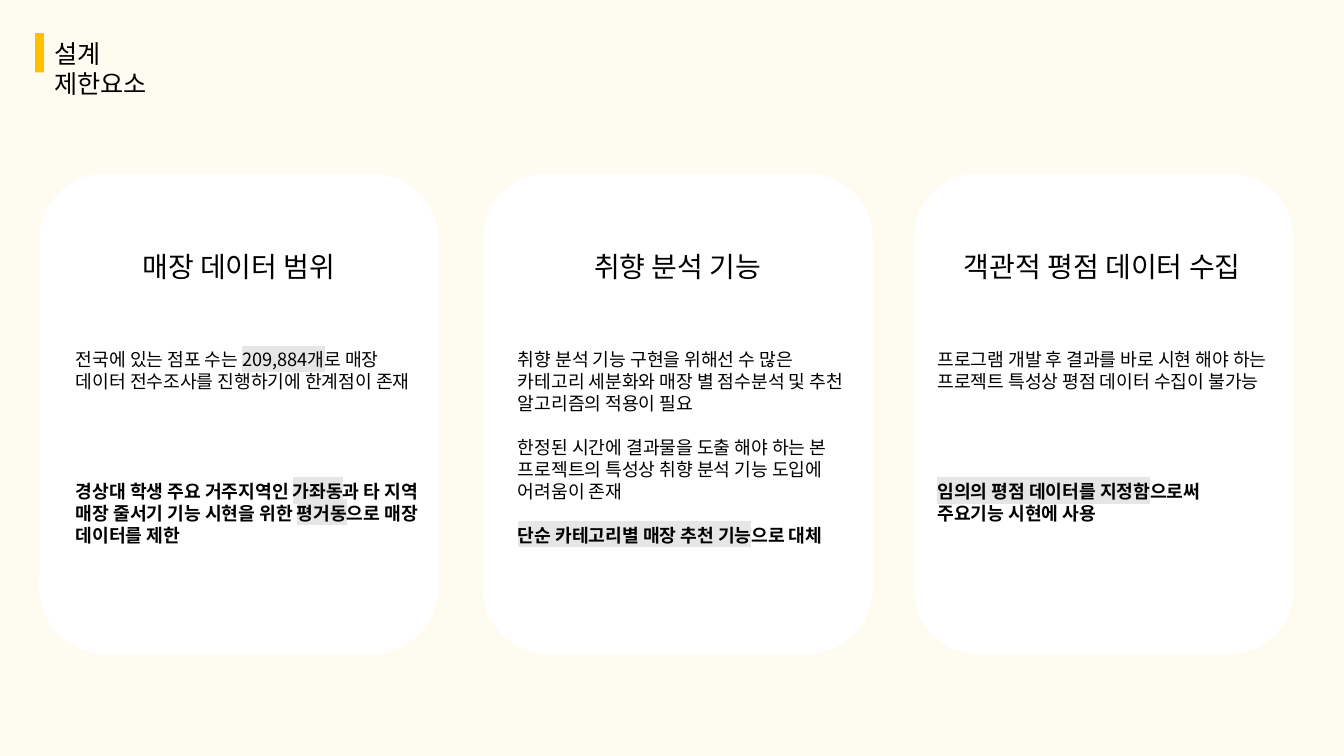
import pptx
import pptx.util
import pptx.dml.color
import pptx.enum.shapes
import pptx.enum.text
import pptx.oxml.ns
import lxml.etree

Pt = pptx.util.Pt
RGBColor = pptx.dml.color.RGBColor
SHAPE = pptx.enum.shapes.MSO_SHAPE
ALIGN = pptx.enum.text.PP_ALIGN
qn = pptx.oxml.ns.qn

FONT = "Noto Sans CJK KR"
CREAM = RGBColor(0xFE, 0xFB, 0xF1)
AMBER = RGBColor(0xFF, 0xC0, 0x00)
WHITE = RGBColor(0xFF, 0xFF, 0xFF)
BLACK = RGBColor(0x00, 0x00, 0x00)
GREY = RGBColor(0xE6, 0xE6, 0xE6)


def add_run(p, text, size, bold=False, highlight=None):
    r = p.add_run()
    r.text = text
    r.font.size = Pt(size)
    r.font.bold = bold
    r.font.color.rgb = BLACK
    rPr = r.font._element
    if highlight:
        mark = lxml.etree.SubElement(rPr, qn("a:highlight"))
        lxml.etree.SubElement(mark, qn("a:srgbClr"), val=str(highlight))
    r.font.name = FONT
    lxml.etree.SubElement(rPr, qn("a:ea"), typeface=FONT)


def add_block(slide, kind, x, y, w, h, color):
    sp = slide.shapes.add_shape(kind, Pt(x), Pt(y), Pt(w), Pt(h))
    sp.shadow.inherit = False
    sp.fill.solid()
    sp.fill.fore_color.rgb = color
    sp.line.fill.background()


def add_text(slide, x, y, w, h):
    sp = slide.shapes.add_textbox(Pt(x), Pt(y), Pt(w), Pt(h))
    sp.text_frame.word_wrap = True
    return sp.text_frame


def add_title(slide, x, y, text):
    add_block(slide, SHAPE.RECTANGLE, x, y, 6.5, 28, AMBER)
    sp = slide.shapes.title
    sp.left, sp.top, sp.width, sp.height = Pt(x + 6.5), Pt(y), Pt(112), Pt(29)
    tf = sp.text_frame
    tf.word_wrap = True
    tf.auto_size = pptx.enum.text.MSO_AUTO_SIZE.NONE
    tf.vertical_anchor = pptx.enum.text.MSO_ANCHOR.TOP
    p = tf.paragraphs[0]
    p.alignment = ALIGN.LEFT
    add_run(p, text, 18)


def add_card(slide, x, y, w, h, heading, heading_w, align, inset, body_w, body_h, gap, body):
    add_block(slide, SHAPE.ROUNDED_RECTANGLE, x, y, w, h, WHITE)
    p = add_text(slide, x + (w - heading_w) / 2, y + 51, heading_w, 32).paragraphs[0]
    p.alignment = align
    add_run(p, heading, 20)
    tf = add_text(slide, x + inset, y + 121.5, body_w, body_h)
    last = len(body) - 1
    for i, parts in enumerate(body):
        p = tf.paragraphs[0] if i == 0 else tf.add_paragraph()
        p.space_before = Pt(gap if i else 0)
        for text, marked in parts:
            add_run(p, text, 13, bold=i == last, highlight=GREY if marked else None)


CARDS = [
    dict(x=28.1, w=285, heading="매장 데이터 범위", heading_w=245.5, align=ALIGN.CENTER,
         inset=19, body_w=265, body_h=167, gap=62.7, body=[
             [("전국에 있는 점포 수는 ", False), ("209,884개", True),
              ("로 매장 데이터 전수조사를 진행하기에 한계점이 존재", False)],
             [("경상대 학생 주요 거주지역인 ", False), ("가좌동", True),
              ("과 타 지역 매장 줄서기 기능 시현을 위한 ", False), ("평거동", True),
              ("으로 매장 데이터를 제한", False)]]),
    dict(x=344.9, w=278.6, heading="취향 분석 기능", heading_w=212.5, align=ALIGN.CENTER,
         inset=18, body_w=259, body_h=149, gap=15.7, body=[
             [("취향 분석 기능 구현을 위해선 수 많은 카테고리 세분화와 매장 별 점수분석 및 추천 "
               "알고리즘의 적용이 필요", False)],
             [("한정된 시간에 결과물을 도출 해야 하는 본 프로젝트의 특성상 취향 분석 기능 도입에 "
               "어려움이 존재", False)],
             [("단순 카테고리별 매장 추천 기능", True), ("으로 대체", False)]]),
    dict(x=653, w=270.7, heading="객관적 평점 데이터 수집", heading_w=214, align=ALIGN.LEFT,
         inset=9.5, body_w=251, body_h=133, gap=62.7, body=[
             [("프로그램 개발 후 결과를 바로 시현 해야 하는 프로젝트 특성상 평점 데이터 수집이 "
               "불가능", False)],
             [("임의의 평점 데이터를 지정함", True), ("으로써 주요기능 시현에 사용", False)]]),
]

prs = pptx.Presentation()
prs.slide_width, prs.slide_height = Pt(960), Pt(540)
slide = prs.slides.add_slide(prs.slide_layouts[5])
slide.background.fill.solid()
slide.background.fill.fore_color.rgb = CREAM
add_title(slide, 25, 23.75, "설계 제한요소")
for card in CARDS:
    add_card(slide, y=124, h=343, **card)
prs.save("out.pptx")
